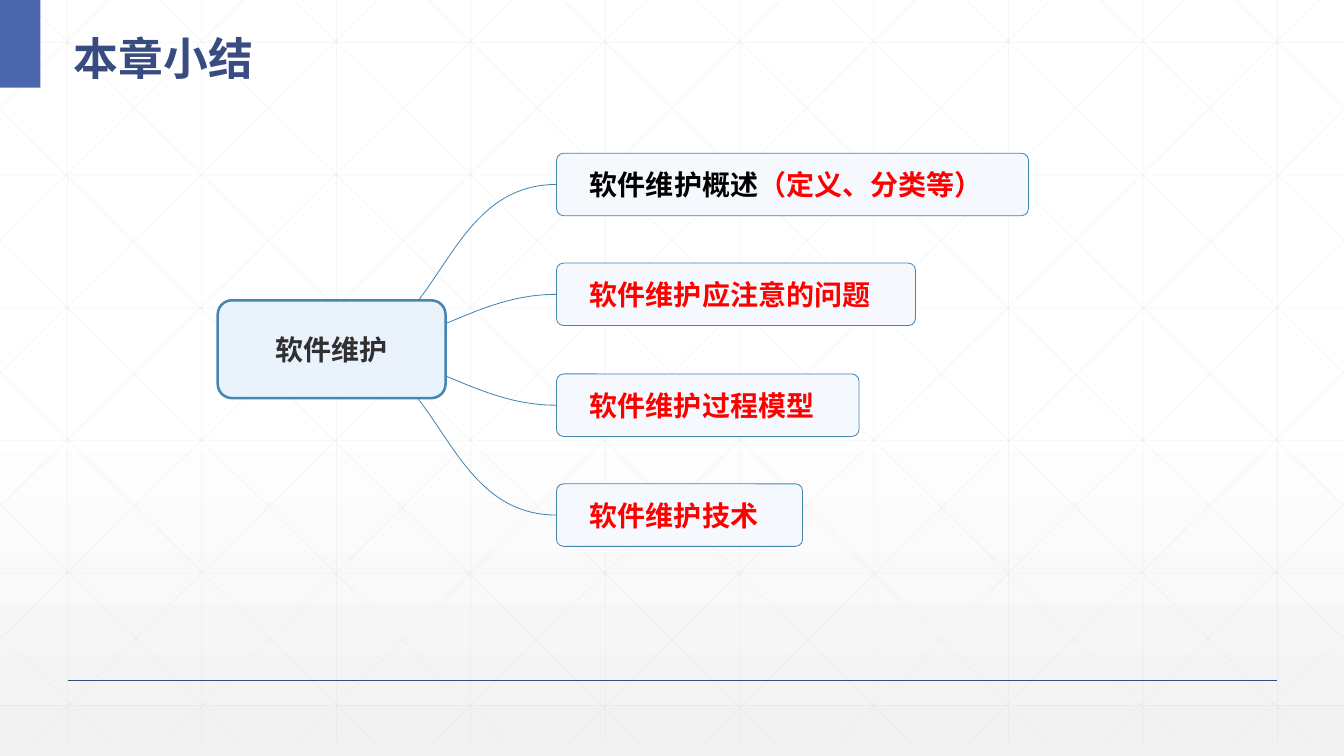
from copy import deepcopy
from dataclasses import dataclass

from lxml.etree import SubElement
from pptx import Presentation
from pptx.dml.color import RGBColor
from pptx.enum.shapes import MSO_CONNECTOR as CONN, MSO_SHAPE as SHAPE
from pptx.enum.text import MSO_ANCHOR as ANCHOR, MSO_AUTO_SIZE as AUTO, PP_ALIGN as ALIGN
from pptx.oxml.ns import qn
from pptx.util import Emu, Pt

PX = 9144  # 100 px to the inch
WIDTH, HEIGHT = 1333, 750


@dataclass(frozen=True)
class Theme:
    font: str = "Noto Sans CJK SC"
    title_size: int = 32
    node_size: int = 20
    title: str = "384C81"
    tab: str = "4A66AC"
    grid: str = "D9D9D9"
    edge: str = "4486B1"
    root_fill: str = "EAF3FC"
    branch_fill: str = "F5F9FE"
    root_text: str = "303030"
    plain: str = "000000"
    accent: str = "FF0000"
    backdrop: tuple = ((0, "FFFFFF"), (0.53, "FFFFFF"), (1, "F2F2F2"))


T = Theme()


@dataclass(frozen=True)
class Run:
    text: str
    color: str


@dataclass(frozen=True)
class Node:
    x: int
    y: int
    w: int
    h: int
    radius: int
    fill: str
    border: float
    runs: tuple
    indent: int = 0
    align: ALIGN = ALIGN.LEFT


def px(n: float) -> Emu:
    return Emu(round(n * PX))


def rgb(color: str) -> RGBColor:
    return RGBColor.from_string(color)


def add_run(p, run: Run, size: int) -> None:
    r = p.add_run()
    r.text = run.text
    r.font.name, r.font.size, r.font.bold = T.font, Pt(size), True
    r.font.color.rgb = rgb(run.color)
    SubElement(r.font._element, qn("a:ea")).set("typeface", T.font)


def paint_background(slide) -> None:
    fill = slide.background.fill
    fill.gradient()
    fill.gradient_angle = 270
    stop_list = next(slide.element.iter(qn("a:gsLst")))
    stop_list.append(deepcopy(stop_list[-1]))
    for stop, (position, color) in zip(fill.gradient_stops, T.backdrop):
        stop.position = position
        stop.color.rgb = rgb(color)


def add_line(slide, x1: float, y1: float, x2: float, y2: float,
             color: str, width: float, opacity: int = 100) -> None:
    line = slide.shapes.add_connector(CONN.STRAIGHT, px(x1), px(y1), px(x2), px(y2))
    line.line.color.rgb = rgb(color)
    line.line.width = Pt(width)
    sp_pr = line._element.spPr
    if opacity < 100:
        alpha = SubElement(next(sp_pr.iter(qn("a:srgbClr"))), qn("a:alpha"))
        alpha.set("val", str(opacity * 1000))
    SubElement(sp_pr, qn("a:effectLst"))


def add_grid(slide) -> None:
    bottom, column, row = 737, 400 / 3, 131.6
    slope = bottom / 745
    lines = [(67 + i * column, 0, 67 + i * column, bottom) for i in range(10)]
    lines += [(0, 42 + i * row, WIDTH, 42 + i * row) for i in range(6)]
    falling = []
    for i in range(10):  # diagonals from the top edge, cut at the right edge
        x = 25 + i * column
        end = min(WIDTH, x + bottom / slope)
        falling.append((x, 0, end, (end - x) * slope))
    for i in range(5):  # diagonals from the left edge
        y = 109 + i * 130.25
        falling.append((0, y, (bottom - y) / slope, bottom))
    lines += falling
    lines += [(WIDTH - x1, y1, WIDTH - x2, y2) for x1, y1, x2, y2 in falling]
    for ends in lines:
        add_line(slide, *ends, T.grid, 0.5, 25)


def add_node(slide, node: Node) -> None:
    sp = slide.shapes.add_shape(SHAPE.ROUNDED_RECTANGLE,
                                px(node.x), px(node.y), px(node.w), px(node.h))
    sp.adjustments[0] = node.radius / node.h
    sp.shadow.inherit = False
    sp.fill.solid()
    sp.fill.fore_color.rgb = rgb(node.fill)
    sp.line.color.rgb = rgb(T.edge)
    sp.line.width = Pt(node.border)
    tf = sp.text_frame
    tf.word_wrap = False
    tf.vertical_anchor = ANCHOR.MIDDLE
    tf.margin_left = px(node.indent)
    tf.margin_right = tf.margin_top = tf.margin_bottom = 0
    p = tf.paragraphs[0]
    p.alignment = node.align
    for run in node.runs:
        add_run(p, run, T.node_size)


def add_curve(slide, controls: tuple, steps: int = 32) -> None:
    """Draw a cubic curve through evenly spaced parameter values."""
    points = []
    for i in range(steps + 1):
        t = i / steps
        weights = ((1 - t) ** 3, 3 * t * (1 - t) ** 2, 3 * t * t * (1 - t), t ** 3)
        points.append(tuple(px(sum(w * c[axis] for w, c in zip(weights, controls)))
                            for axis in (0, 1)))
    builder = slide.shapes.build_freeform(*points[0])
    builder.add_line_segments(points[1:], close=False)
    sp = builder.convert_to_shape()
    sp.shadow.inherit = False
    sp.fill.background()
    sp.line.color.rgb = rgb(T.edge)
    sp.line.width = Pt(0.6)


def format_title(slide, text: str) -> None:
    title = slide.shapes.title
    title.left, title.top, title.width, title.height = px(63), px(13), px(1190), px(73)
    tf = title.text_frame
    tf.auto_size = AUTO.NONE
    tf.vertical_anchor = ANCHOR.MIDDLE
    p = tf.paragraphs[0]
    p.alignment = ALIGN.LEFT
    p.line_spacing = 1.3
    add_run(p, Run(text, T.title), T.title_size)
    slide.shapes._spTree.append(title._element)  # in front of the grid


ROOT = Node(216, 298, 226, 97, 14, T.root_fill, 1.8,
            (Run("软件维护", T.root_text),), align=ALIGN.CENTER)
BRANCHES = (
    (Run("软件维护概述", T.plain), Run("（定义、分类等）", T.accent)),
    (Run("软件维护应注意的问题", T.accent),),
    (Run("软件维护过程模型", T.accent),),
    (Run("软件维护技术", T.accent),),
)
# Upper links; the lower ones mirror them
LINKS = (
    ((415, 298), (452, 250), (478, 183), (552, 183)),
    ((442, 321), (476, 307), (509, 292), (552, 292)),
)
MIRROR_SUM = 694


def main() -> None:
    prs = Presentation()
    prs.slide_width, prs.slide_height = px(WIDTH), px(HEIGHT)
    slide = prs.slides.add_slide(prs.slide_layouts[5])

    # Backdrop, footer rule and corner tab
    paint_background(slide)
    add_grid(slide)
    add_line(slide, 67, 675, 1267, 675, T.title, 1)
    tab = slide.shapes.add_shape(SHAPE.RECTANGLE, 0, 0, px(40), px(87))
    tab.shadow.inherit = False
    tab.fill.solid()
    tab.fill.fore_color.rgb = rgb(T.tab)
    tab.line.fill.background()
    format_title(slide, "本章小结")

    # Mind map: links first, then the nodes over them
    for link in LINKS:
        add_curve(slide, link)
        add_curve(slide, tuple((x, MIRROR_SUM - y) for x, y in link))
    add_node(slide, ROOT)
    for i, runs in enumerate(BRANCHES):
        width = 76 + 28 * sum(len(run.text) for run in runs)
        add_node(slide, Node(552, round(152 + i * 109.4), width, 62, 7,
                             T.branch_fill, 0.6, runs, indent=31))

    prs.save("out.pptx")


if __name__ == "__main__":
    main()
